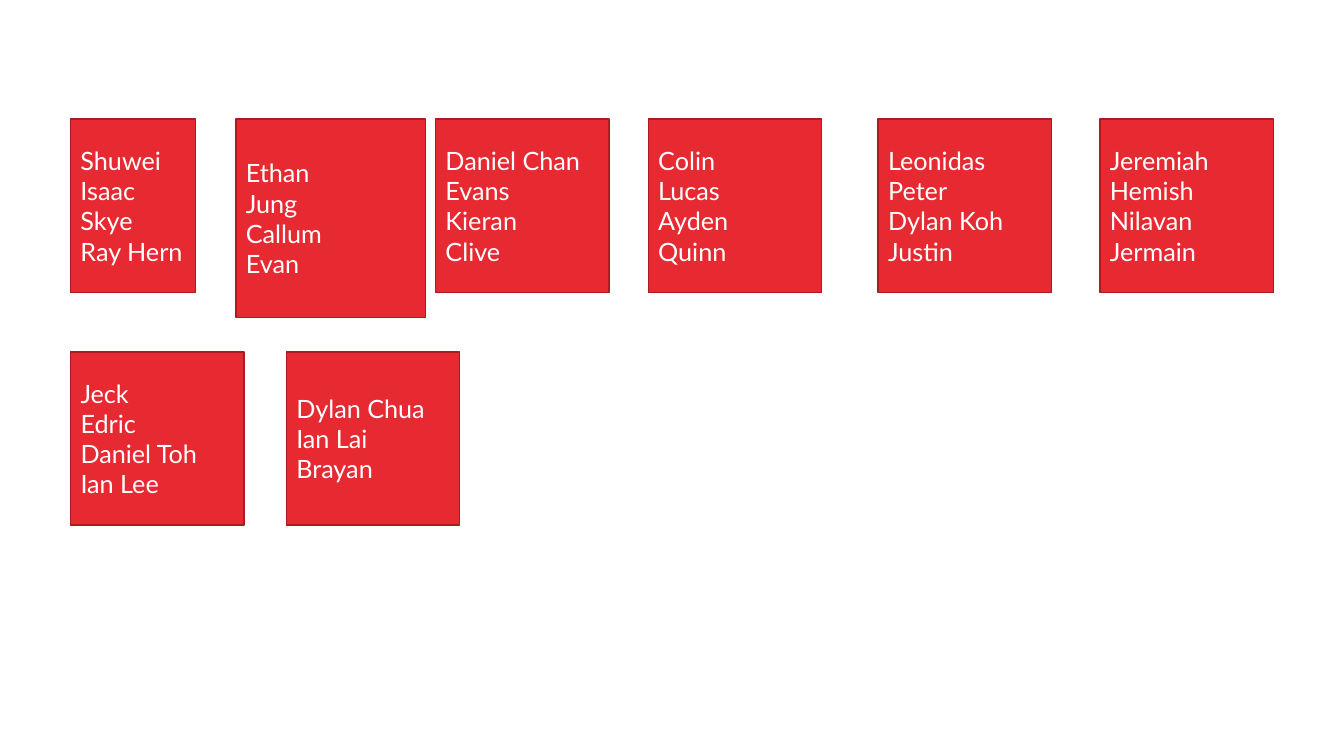
"""Build a slide of student groups, one red card per group."""
from dataclasses import dataclass

from pptx import Presentation
from pptx.dml.color import RGBColor
from pptx.enum.shapes import MSO_SHAPE as Shape
from pptx.enum.text import MSO_ANCHOR as Anchor, PP_ALIGN as Align
from pptx.util import Inches, Pt


@dataclass(frozen=True)
class Theme:
    """Colours, font and sizes of the slide."""
    card: RGBColor = RGBColor.from_string("E72932")
    edge: RGBColor = RGBColor.from_string("AA1B22")
    text: RGBColor = RGBColor.from_string("FFFFFF")
    font: str = "Lato"
    size: int = 18
    edge_width: int = 1


THEME = Theme()
SIDE = 1.72
ROWS = [
    (1.18, [
        (0.7, 1.24, SIDE, ["Shuwei", "Isaac", "Skye", "Ray Hern"]),
        (2.34, 1.88, 1.97, ["Ethan", "Jung", "Callum", "Evan"]),
        (4.32, SIDE, SIDE, ["Daniel Chan", "Evans", "Kieran", "Clive"]),
        (6.43, SIDE, SIDE, ["Colin", "Lucas", "Ayden", "Quinn"]),
        (8.71, SIDE, SIDE, ["Leonidas", "Peter", "Dylan Koh", "Justin"]),
        (10.91, SIDE, SIDE, ["Jeremiah", "Hemish", "Nilavan", "Jermain"]),
    ]),
    (3.49, [
        (0.7, SIDE, SIDE, ["Jeck", "Edric", "Daniel Toh", "Ian Lee"]),
        (2.84, SIDE, SIDE, ["Dylan Chua", "Ian Lai", "Brayan"]),
    ]),
]


def write_lines(box, lines, *, size=THEME.size, color=THEME.text,
                align=Align.LEFT, anchor=Anchor.MIDDLE):
    """Write one paragraph per line into the box."""
    frame = box.text_frame
    frame.word_wrap = True
    frame.vertical_anchor = anchor
    frame.text = "\n".join(lines)
    for para in frame.paragraphs:
        para.alignment = align
        for span in para.runs:
            span.font.name = THEME.font
            span.font.size = Pt(size)
            span.font.color.rgb = color


def add_card(page, left, top, width, height, names):
    """Add a red card that lists the names of a group."""
    box = page.shapes.add_shape(Shape.RECTANGLE, Inches(left), Inches(top),
                                Inches(width), Inches(height))
    box.shadow.inherit = False
    box.fill.solid()
    box.fill.fore_color.rgb = THEME.card
    box.line.color.rgb = THEME.edge
    box.line.width = Pt(THEME.edge_width)
    write_lines(box, names)


def main():
    """Build and save the deck."""
    deck = Presentation()
    deck.slide_width, deck.slide_height = Inches(13.33), Inches(7.5)
    page = deck.slides.add_slide(deck.slide_layouts[6])
    for top, cards in ROWS:
        for left, width, height, names in cards:
            add_card(page, left, top, width, height, names)
    deck.save("out.pptx")


if __name__ == "__main__":
    main()
